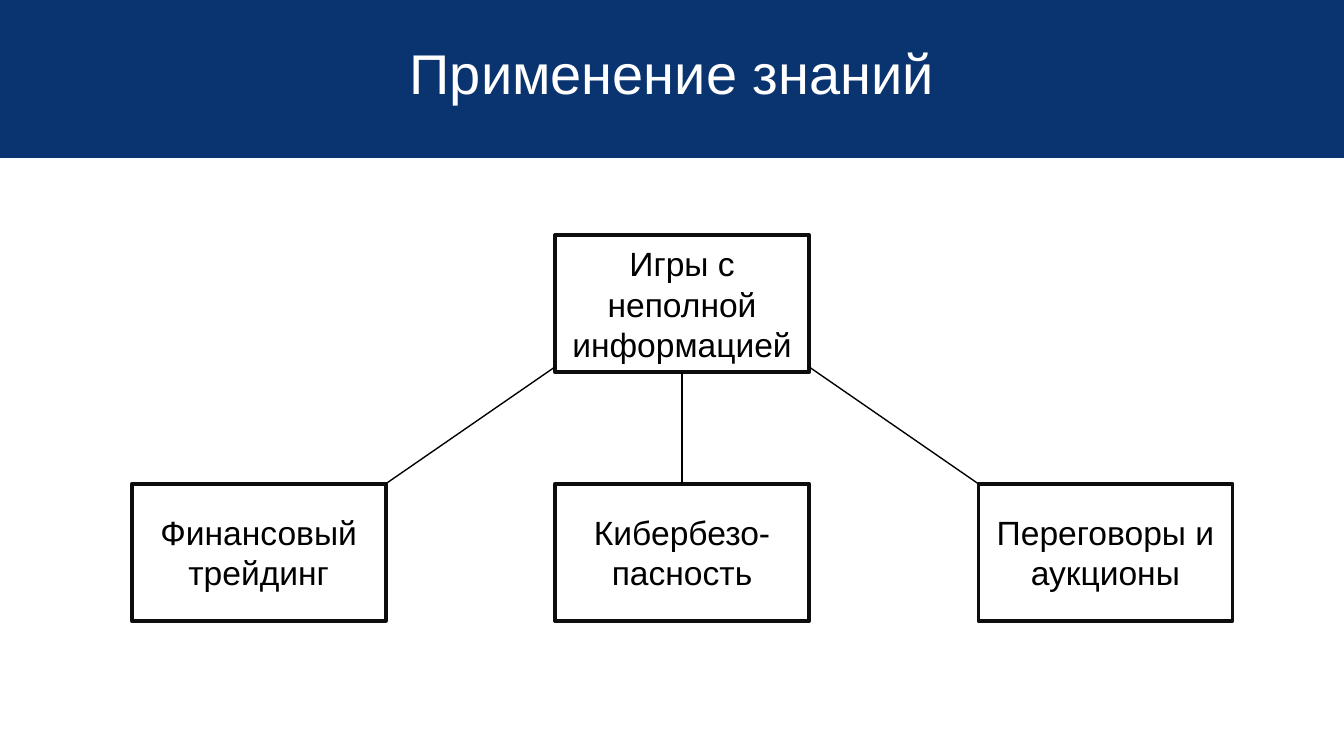
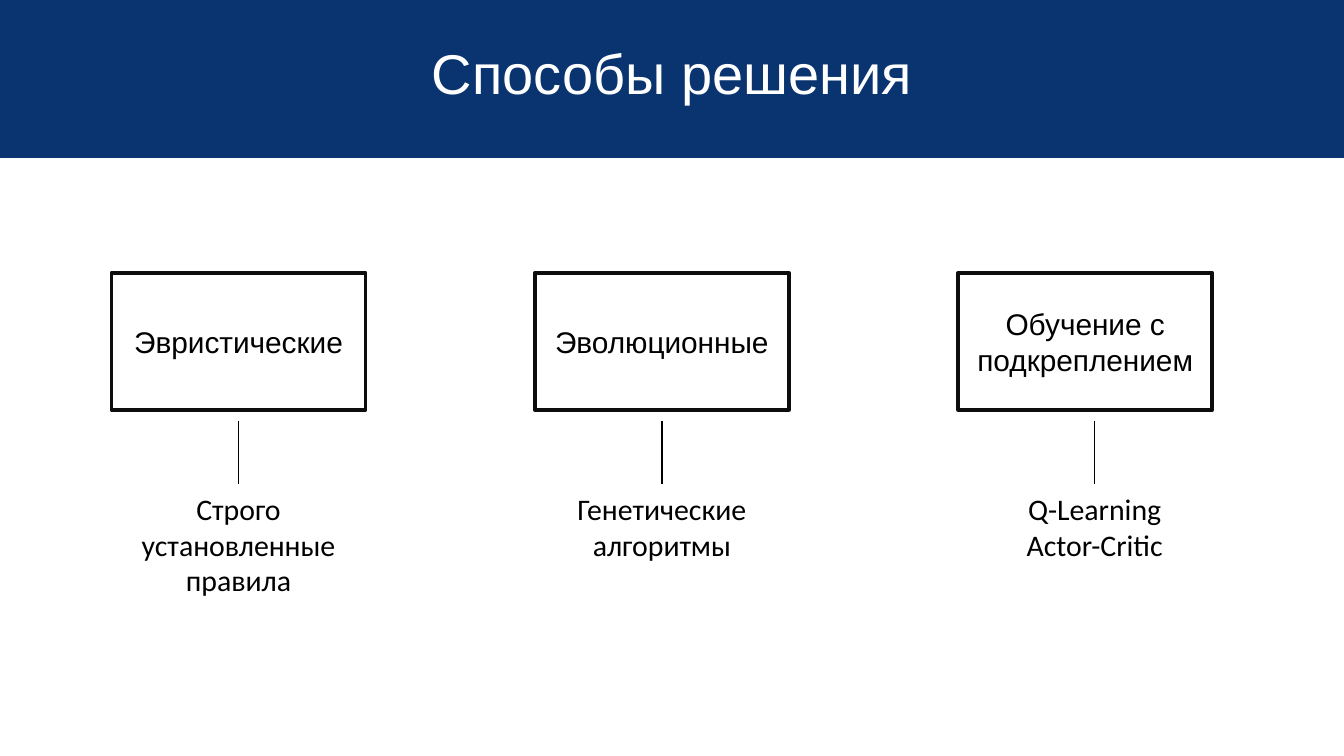
from pptx import Presentation
from pptx.dml.color import RGBColor
from pptx.enum.shapes import MSO_CONNECTOR, MSO_SHAPE
from pptx.enum.text import MSO_ANCHOR, MSO_AUTO_SIZE, PP_ALIGN
from pptx.oxml.ns import qn
from pptx.util import Inches, Pt
from lxml.etree import SubElement

NAVY = RGBColor(0x0A, 0x34, 0x70)
EDGE = RGBColor(0x0D, 0x0D, 0x0D)
BLACK = RGBColor(0, 0, 0)
WHITE = RGBColor(0xFF, 0xFF, 0xFF)

WIDE = 10
HIGH = WIDE * 9 / 16
BAND = (0, 0, WIDE, 1.16)
BOX_W, BOX_H = 1.89, 1.02
STEP = 3.15  # from one column to the next
TOP, BOTTOM = 0, 2  # connection sites


def write(frame, text, size=18, font="Arial", color=BLACK,
          anchor=MSO_ANCHOR.MIDDLE, lead=None):
    """Fill a text frame with centred paragraphs, one for each line."""
    frame.word_wrap = True
    frame.vertical_anchor = anchor
    frame.text = text
    for para in frame.paragraphs:
        para.alignment = PP_ALIGN.CENTER
        para.line_spacing = lead
        for run in para.runs:
            run.font.size = Pt(size)
            run.font.name = font
            run.font.color.rgb = color


def block(slide, box, fill=WHITE, edge=EDGE):
    """Draw a filled rectangle."""
    shape = slide.shapes.add_shape(MSO_SHAPE.RECTANGLE, *map(Inches, box))
    shape.shadow.inherit = False
    shape.fill.solid()
    shape.fill.fore_color.rgb = fill
    shape.line.color.rgb = edge
    shape.line.width = Pt(2)
    return shape


def node(slide, left, top, text, **style):
    """Draw a labelled box of the common size."""
    shape = block(slide, (left, top, BOX_W, BOX_H))
    write(shape.text_frame, text, **style)
    return shape


def note(slide, box, text, **style):
    """Place a text box."""
    shape = slide.shapes.add_textbox(*map(Inches, box))
    write(shape.text_frame, text, **style)
    return shape


def link(slide, start, end):
    """Draw a thin line between two points."""
    line = slide.shapes.add_connector(
        MSO_CONNECTOR.STRAIGHT, *map(Inches, start + end))
    line.line.color.rgb = BLACK
    line.line.width = Pt(0.75)
    SubElement(line._element.spPr, qn("a:effectLst"))
    return line


def page(deck, title):
    """Add a slide with the band and its title."""
    slide = deck.slides.add_slide(deck.slide_layouts[6])
    block(slide, BAND, fill=NAVY, edge=NAVY)
    note(slide, BAND, title, size=30, color=WHITE, lead=Pt(30))
    return slide


def tree(slide, left, top, root, leaves):
    """Place a root box over a row of three leaves."""
    mid, low = left + STEP, top + 1.85
    row = [node(slide, left + i * STEP, low, text)
           for i, text in enumerate(leaves)]
    head = node(slide, mid, top, root)

    # Straight stem to the middle leaf
    axis = mid + BOX_W / 2
    stem = link(slide, (axis, top + BOX_H), (axis, low))
    stem.begin_connect(head, BOTTOM)
    stem.end_connect(row[1], TOP)

    # Branches to the inner corners of the outer leaves
    fork = top + 0.98
    link(slide, (mid, fork), (left + BOX_W, low))
    link(slide, (mid + BOX_W, fork), (left + 2 * STEP, low))


def column(slide, left, top, name, text, high, shift=0):
    """Place a method box, a short line and a note below it."""
    node(slide, left, top, name, size=16)
    x, low = left + shift, top + 1.57
    body = note(slide, (x, low, BOX_W, high), text, size=16,
                font="Calibri", anchor=MSO_ANCHOR.TOP)
    body.text_frame.auto_size = MSO_AUTO_SIZE.SHAPE_TO_FIT_TEXT
    axis = x + BOX_W / 2
    stem = link(slide, (axis, top + 1.1), (axis, low))
    stem.end_connect(body, TOP)


def main():
    deck = Presentation()
    deck.slide_width, deck.slide_height = Inches(WIDE), Inches(HIGH)

    # Uses of the knowledge
    slide = page(deck, "Применение знаний")
    tree(slide, 0.98, 1.75, "Игры с неполной информацией",
         ["Финансовый трейдинг", "Кибербезо-пасность",
          "Переговоры и аукционы"])

    # Ways to solve
    slide = page(deck, "Способы решения")
    ways = [
        ("Эвристические", "Строго установленные правила", 0.91),
        ("Эволюционные", "Генетические алгоритмы", 0.64),
        ("Обучение с подкреплением", "Q-Learning\nActor-Critic", 0.64, 0.07),
    ]
    for i, way in enumerate(ways):
        column(slide, 0.83 + i * STEP, 2.03, *way)

    deck.save("out.pptx")


if __name__ == "__main__":
    main()
